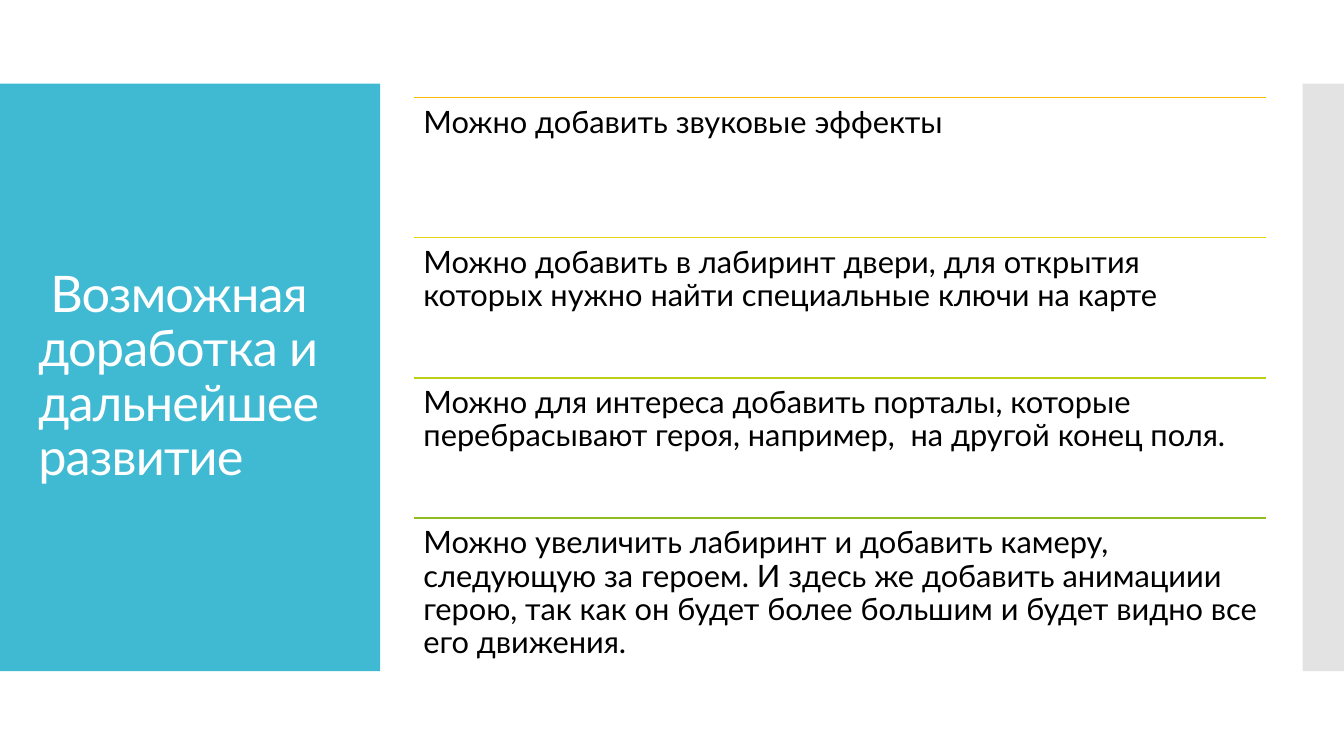
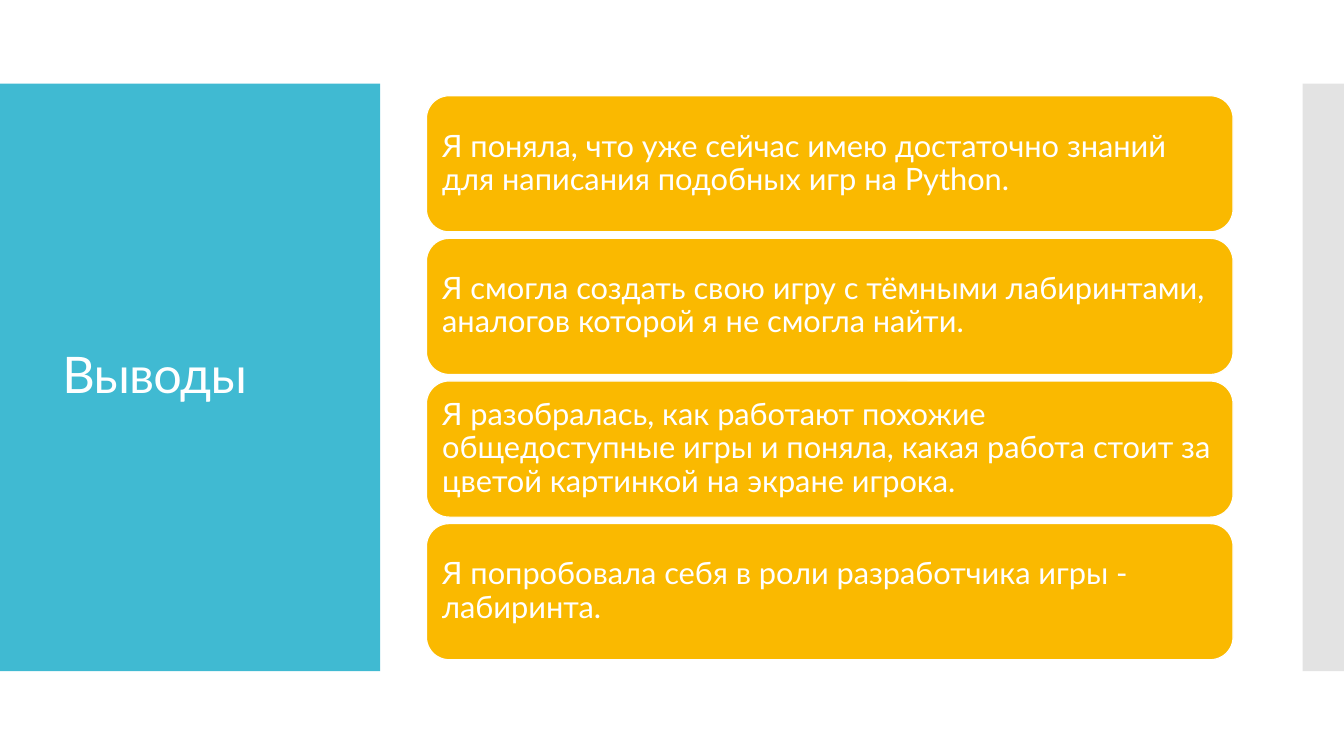
import pptx
import pptx.util
import pptx.dml.color
import pptx.enum.shapes
import pptx.enum.text
import lxml.etree

Inches = pptx.util.Inches
Pt = pptx.util.Pt
Shape = pptx.enum.shapes.MSO_SHAPE
Anchor = pptx.enum.text.MSO_ANCHOR

# Shared style
FONT = "Lato"
WHITE, BLACK = "FFFFFF", "000000"
TEAL, GREY, GOLD = "40BAD2", "C8C8C8", "FAB900"
INSET = 0.09


def color(code):
    return pptx.dml.color.RGBColor.from_string(code)


def write(shape, text, size, code, anchor):
    frame = shape.text_frame
    frame.word_wrap = True
    frame.auto_size = pptx.enum.text.MSO_AUTO_SIZE.NONE
    frame.vertical_anchor = anchor
    para = frame.paragraphs[0]
    para.alignment = pptx.enum.text.PP_ALIGN.LEFT
    para.line_spacing = 0.9
    run = para.add_run()
    run.text = text
    run.font.name = FONT
    run.font.size = Pt(size)
    run.font.color.rgb = color(code)
    return run


deck = pptx.Presentation()
deck.slide_width = Inches(13.33)
deck.slide_height = Inches(7.5)
layout = deck.slide_layouts[5]

# Slides with their titles
slides = []
for text in ("\u00a0Возможная доработка\u00a0и дальнейшее развитие",
             "\u00a0 Выводы"):
    slide = deck.slides.add_slide(layout)
    title = slide.shapes.title
    title.left, title.top = Inches(0.28), Inches(1.23)
    title.width, title.height = Inches(3.22), Inches(5.03)
    run = write(title, text, 36, WHITE, Anchor.MIDDLE)
    run.font._element.set("spc", "-60")
    slides.append(slide)
plans, ends = slides

# Side bands, moved to the layout behind the titles
for left, width, code, alpha in ((0, 3.77, TEAL, 100), (12.92, 0.41, GREY, 50)):
    band = plans.shapes.add_shape(
        Shape.RECTANGLE, Inches(left), Inches(0.83), Inches(width), Inches(5.83))
    band.shadow.inherit = False
    band.fill.solid()
    band.fill.fore_color.rgb = color(code)
    band.line.fill.background()
    tint = band.element.spPr.find(".//" + pptx.oxml.ns.qn("a:srgbClr"))
    lxml.etree.SubElement(
        tint, pptx.oxml.ns.qn("a:alpha")).set("val", str(alpha * 1000))
    layout.shapes.element.insert(2, band.element)

# Slide 1: ideas under coloured rules
ideas = (
    ("FAB900", "Можно добавить звуковые эффекты"),
    ("E4D30D", "Можно добавить в лабиринт двери, для открытия которых нужно "
               "найти специальные ключи на карте"),
    ("BCCF18", "Можно для интереса добавить порталы, которые перебрасывают "
               "героя, например,\u00a0 на другой конец поля."),
    ("90BB23", "Можно увеличить лабиринт и добавить камеру, следующую за героем. "
               "И здесь же добавить анимациии герою, так как он будет более "
               "большим и будет видно все его движения."),
)
left, wide, step = 4.11, 8.45, 1.39
for row, (code, text) in enumerate(ideas):
    top = Inches(0.97 + row * step)
    rule = plans.shapes.add_connector(
        pptx.enum.shapes.MSO_CONNECTOR.STRAIGHT,
        Inches(left), top, Inches(left + wide), top)
    rule.line.color.rgb = color(code)
    rule.line.width = Pt(0.85)
    lxml.etree.SubElement(rule.element.spPr, pptx.oxml.ns.qn("a:effectLst"))
    box = plans.shapes.add_textbox(Inches(left), top, Inches(wide), Inches(step))
    frame = box.text_frame
    frame.margin_left = frame.margin_right = Inches(INSET)
    frame.margin_top = frame.margin_bottom = Inches(INSET)
    write(box, text, 22, BLACK, Anchor.TOP)

# Slide 2: conclusions on rounded cards
notes = (
    "Я поняла, что уже сейчас имею достаточно знаний для написания "
    "подобных игр на Python.",
    "Я смогла создать свою игру с тёмными лабиринтами, аналогов которой "
    "я не смогла найти.",
    "Я разобралась, как работают похожие общедоступные игры и поняла, "
    "какая работа стоит за цветой картинкой на экране игрока.",
    "Я попробовала себя в роли разработчика игры - лабиринта.",
)
for row, text in enumerate(notes):
    card = ends.shapes.add_shape(
        Shape.ROUNDED_RECTANGLE, Inches(4.23), Inches(0.95 + row * 1.415),
        Inches(8), Inches(1.35))
    card.shadow.inherit = False
    card.fill.solid()
    card.fill.fore_color.rgb = color(GOLD)
    card.line.color.rgb = color(WHITE)
    card.line.width = Pt(0.85)
    frame = card.text_frame
    frame.margin_left = frame.margin_right = Inches(INSET)
    frame.margin_top = frame.margin_bottom = Inches(INSET)
    write(card, text, 22, WHITE, Anchor.MIDDLE)

deck.save("out.pptx")
